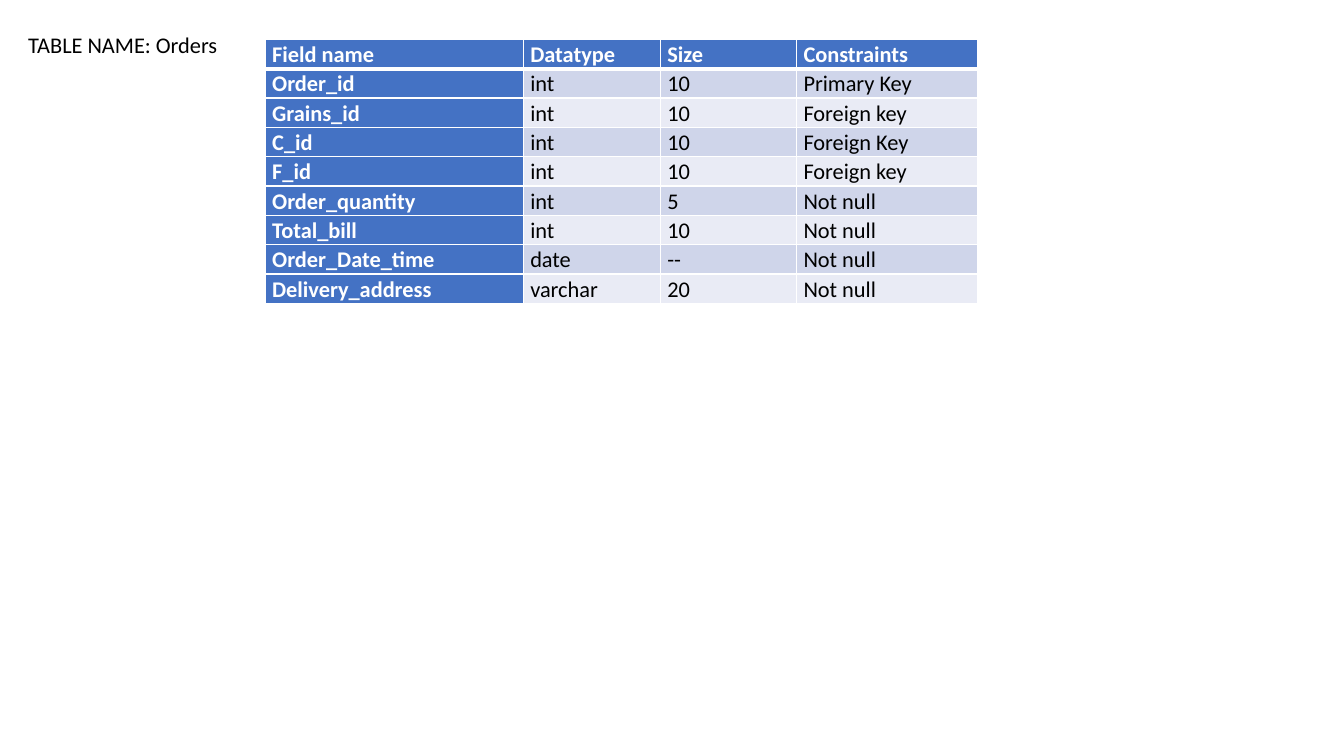
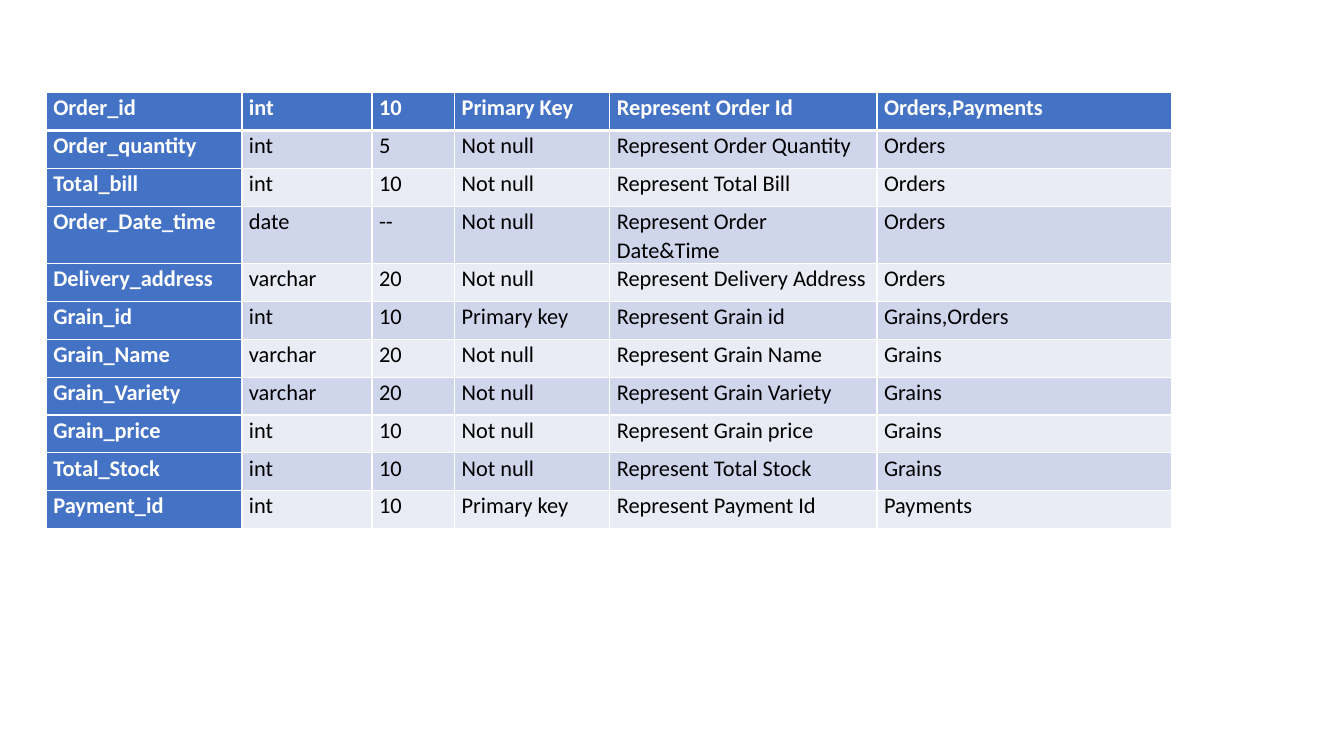
from dataclasses import dataclass

from lxml import etree
from pptx import Presentation
from pptx.dml.color import RGBColor
from pptx.enum.text import MSO_ANCHOR, MSO_AUTO_SIZE
from pptx.oxml.ns import qn
from pptx.util import Inches, Pt

TOP = MSO_ANCHOR.TOP
GROW = MSO_AUTO_SIZE.SHAPE_TO_FIT_TEXT
BLANK_LAYOUT = 6


@dataclass(frozen=True)
class Theme:
    font: str = "Calibri"
    text_size: int = 16
    text: str = "000000"
    heading_text: str = "FFFFFF"
    heading_fill: str = "4472C4"
    bands: tuple = ("CFD5EA", "E9EBF5")
    border: str = "FFFFFF"
    border_width: int = 1
    heading_rule: int = 3
    cell_inset: float = 0.07
    line_spacing: float = 1.07
    space_after: int = 8


class SchemaDeck:
    def __init__(self, theme):
        self.theme = theme
        self.deck = Presentation()
        self.deck.slide_width = Inches(13.33)
        self.deck.slide_height = Inches(7.5)
        self.page = None

    def add_page(self):
        self.page = self.deck.slides.add_slide(self.deck.slide_layouts[BLANK_LAYOUT])

    def style_paragraph(self, paragraph, color, bold=False):
        font = paragraph.font
        font.name = self.theme.font
        font.size = Pt(self.theme.text_size)
        font.bold = bold
        font.color.rgb = RGBColor.from_string(color)

    def add_label(self, text, left, top, width, height):
        box = self.page.shapes.add_textbox(
            Inches(left), Inches(top), Inches(width), Inches(height))
        frame = box.text_frame
        frame.word_wrap = False
        frame.auto_size = GROW
        frame.vertical_anchor = TOP
        paragraph = frame.paragraphs[0]
        paragraph.text = text
        self.style_paragraph(paragraph, self.theme.text)

    def add_field_table(self, rows, left, top, height, column_widths):
        """Share the height equally among the rows; style first row and column as headings."""
        table = self.page.shapes.add_table(
            len(rows), len(column_widths), Inches(left), Inches(top),
            Inches(sum(column_widths)), Inches(height)).table
        table.first_col = True
        for column, width in zip(table.columns, column_widths):
            column.width = Inches(width)
        for row_index, values in enumerate(rows):
            for column_index, value in enumerate(values):
                self.fill_cell(table.cell(row_index, column_index), value,
                               row_index, column_index)

    def fill_cell(self, cell, value, row_index, column_index):
        theme = self.theme
        is_heading = row_index == 0 or column_index == 0
        self.add_borders(cell, row_index)
        cell.fill.solid()
        cell.fill.fore_color.rgb = RGBColor.from_string(
            theme.heading_fill if is_heading else theme.bands[(row_index - 1) % 2])
        cell.margin_left = cell.margin_right = Inches(theme.cell_inset)
        cell.margin_top = cell.margin_bottom = 0
        paragraph = cell.text_frame.paragraphs[0]
        paragraph.text = value
        paragraph.line_spacing = theme.line_spacing
        paragraph.space_after = Pt(theme.space_after)
        self.style_paragraph(
            paragraph, theme.heading_text if is_heading else theme.text, is_heading)

    def add_borders(self, cell, row_index):
        """Draw thin cell borders, with a thick rule between the first two rows."""
        theme = self.theme
        ruled_side = {0: "lnB", 1: "lnT"}.get(row_index)
        properties = cell._tc.get_or_add_tcPr()
        for side in ("lnL", "lnR", "lnT", "lnB"):
            width = theme.heading_rule if side == ruled_side else theme.border_width
            line = etree.SubElement(properties, qn(f"a:{side}"), w=str(Pt(width)))
            fill = etree.SubElement(line, qn("a:solidFill"))
            etree.SubElement(fill, qn("a:srgbClr"), val=theme.border)

    def save(self):
        self.deck.save("out.pptx")


ORDER_FIELDS = [
    ("Field name", "Datatype", "Size", "Constraints"),
    ("Order_id", "int", "10", "Primary Key"),
    ("Grains_id", "int", "10", "Foreign key"),
    ("C_id", "int", "10", "Foreign Key"),
    ("F_id", "int", "10", "Foreign key"),
    ("Order_quantity", "int", "5", "Not null"),
    ("Total_bill", "int", "10", "Not null"),
    ("Order_Date_time", "date", "--", "Not null"),
    ("Delivery_address", "varchar", "20", "Not null"),
]

DATA_DICTIONARY = [
    ("Order_id", "int", "10", "Primary Key", "Represent Order Id", "Orders,Payments"),
    ("Order_quantity", "int", "5", "Not null", "Represent Order Quantity", "Orders"),
    ("Total_bill", "int", "10", "Not null", "Represent Total Bill", "Orders"),
    ("Order_Date_time", "date", "--", "Not null", "Represent Order Date&Time", "Orders"),
    ("Delivery_address", "varchar", "20", "Not null", "Represent Delivery Address", "Orders"),
    ("Grain_id", "int", "10", "Primary key", "Represent Grain id", "Grains,Orders"),
    ("Grain_Name", "varchar", "20", "Not null", "Represent Grain Name", "Grains"),
    ("Grain_Variety", "varchar", "20", "Not null", "Represent Grain Variety", "Grains"),
    ("Grain_price", "int", "10", "Not null", "Represent Grain price", "Grains"),
    ("Total_Stock", "int", "10", "Not null", "Represent Total Stock", "Grains"),
    ("Payment_id", "int", "10", "Primary key", "Represent Payment Id", "Payments"),
]


def main():
    schema = SchemaDeck(Theme())

    schema.add_page()
    schema.add_field_table(ORDER_FIELDS, 2.63, 0.39, 2.62, (2.56, 1.36, 1.35, 1.8))
    schema.add_label("TABLE NAME: Orders", 0.18, 0.26, 2.11, 0.37)

    schema.add_page()
    schema.add_field_table(DATA_DICTIONARY, 0.46, 0.92, 4.13,
                           (1.94, 1.29, 0.82, 1.54, 2.65, 2.92))

    schema.save()


if __name__ == "__main__":
    main()
